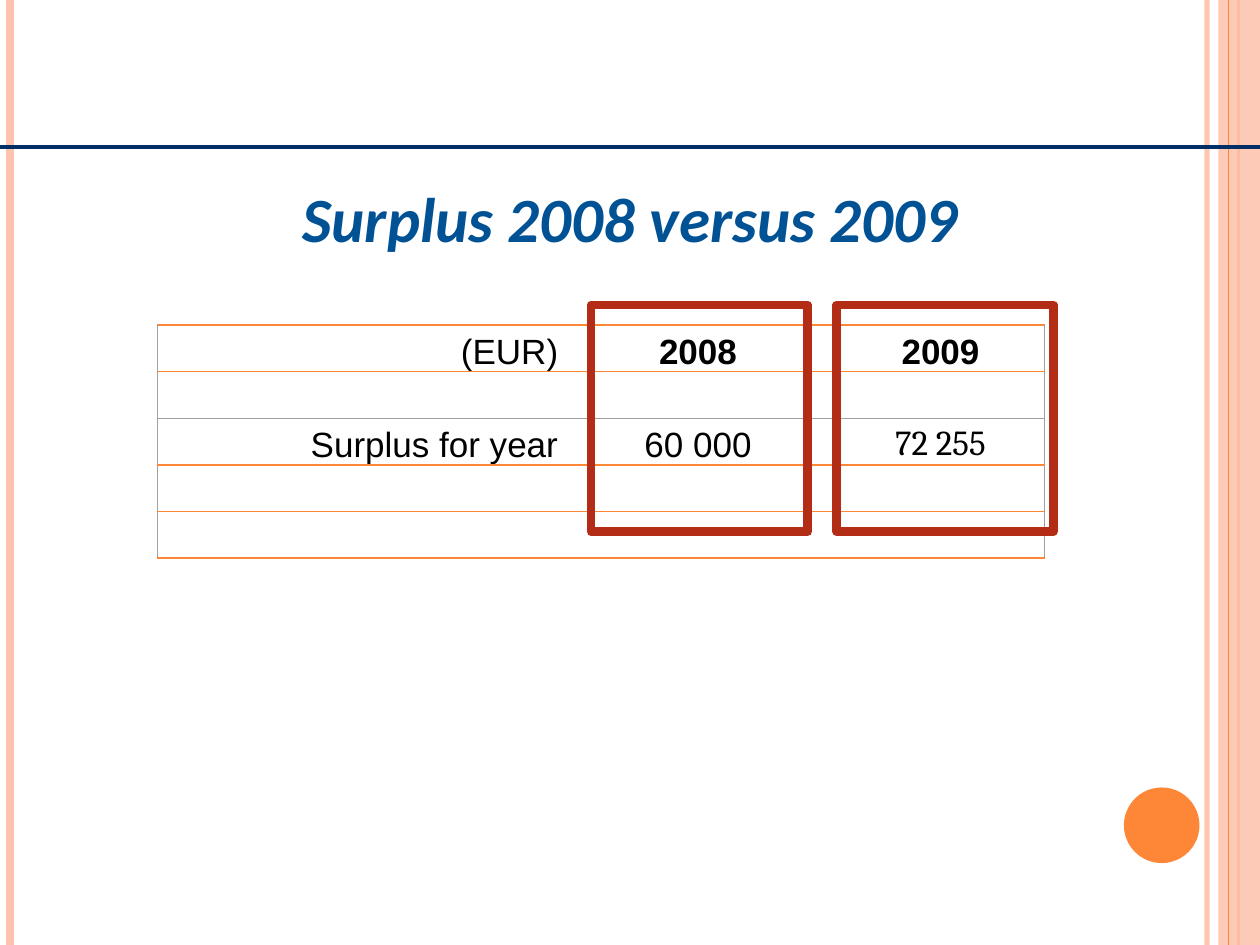
import pptx
import pptx.dml.color
import pptx.enum.shapes
import pptx.enum.text
import pptx.oxml
import pptx.oxml.ns
import pptx.util
from pptx.util import Inches

COLORS = {
    "white": "FFFFFF", "black": "000000", "orange": "FE8637", "peach": "FEC3AE",
    "navy": "002F65", "blue": "005295", "red": "B32C16", "grey": "A0A0A0",
}
ALIGN = pptx.enum.text.PP_ALIGN
ANCHOR = pptx.enum.text.MSO_ANCHOR
SHAPES = pptx.enum.shapes.MSO_SHAPE
qn = pptx.oxml.ns.qn


def color(name):
    return pptx.dml.color.RGBColor.from_string(COLORS[name])


def add_child(parent, tag, **attributes):
    child = pptx.oxml.parse_xml(f"<a:{tag} {pptx.oxml.ns.nsdecls('a')}/>")
    for key, value in attributes.items():
        child.set(key, str(value))
    parent.append(child)
    return child


def set_opacity(element, percent):
    color_element = next(element.iter(qn("a:srgbClr")))
    add_child(color_element, "alpha", val=percent * 1000)


def add_line(slide, start, end, color_name, width, opacity=None):
    line = slide.shapes.add_connector(
        pptx.enum.shapes.MSO_CONNECTOR.STRAIGHT, *map(Inches, start + end))
    line.line.color.rgb = color(color_name)
    line.line.width = pptx.util.Pt(width)
    properties = line._element.spPr
    add_child(properties, "effectLst")
    if opacity:
        set_opacity(properties, opacity)


def add_filled_shape(slide, kind, box, color_name, opacity=None):
    shape = slide.shapes.add_shape(kind, *map(Inches, box))
    shape.shadow.inherit = False
    shape.fill.solid()
    shape.fill.fore_color.rgb = color(color_name)
    shape.line.fill.background()
    if opacity:
        set_opacity(shape._element.spPr, opacity)


def add_frame(slide, box):
    shape = slide.shapes.add_shape(SHAPES.RECTANGLE, *map(Inches, box))
    shape.shadow.inherit = False
    shape.fill.background()
    shape.line.color.rgb = color("red")
    shape.line.width = pptx.util.Pt(5)
    add_child(shape._element.spPr.find(qn("a:ln")), "round")


def add_run(paragraph, text, size, font_name, color_name, bold=False, italic=False):
    run = paragraph.add_run()
    run.text = text
    run.font.size = pptx.util.Pt(size)
    run.font.name = font_name
    run.font.color.rgb = color(color_name)
    run.font.bold = bold
    run.font.italic = italic


def add_title(slide, text):
    title = slide.shapes.title
    title.left, title.top, title.width, title.height = map(Inches, (0, 1.39, 10, 0.67))
    frame = title.text_frame
    frame.word_wrap = False
    frame.auto_size = pptx.enum.text.MSO_AUTO_SIZE.NONE
    frame.vertical_anchor = ANCHOR.MIDDLE
    paragraph = frame.paragraphs[0]
    paragraph.alignment = ALIGN.CENTER
    add_run(paragraph, text, 36, "Calibri", "blue", bold=True, italic=True)


def set_border(cell, side, color_name=None, width=1):
    border = add_child(cell._tc.get_or_add_tcPr(), f"ln{side}",
                       w=int(pptx.util.Pt(width)))
    if color_name:
        add_child(add_child(border, "solidFill"), "srgbClr", val=COLORS[color_name])
    else:
        add_child(border, "noFill")


def format_cell(cell, row, column):
    # Thin grey outer sides, no inner verticals, and a grey rule under row two
    set_border(cell, "L", "grey" if column == 0 else None, 0.5)
    set_border(cell, "R", "grey" if column == 2 else None, 0.5)
    for side, edge in (("T", row), ("B", row + 1)):
        set_border(cell, side, *(("grey", 0.5) if edge == 2 else ("orange", 1)))
    cell.fill.solid()
    cell.fill.fore_color.rgb = color("white")
    cell.margin_left = cell.margin_right = cell.margin_top = Inches(0.01)
    cell.margin_bottom = 0
    cell.vertical_anchor = ANCHOR.BOTTOM


def add_surplus_table(slide):
    rows = [("(EUR)", "2008", "2009"), ("",) * 3,
            ("Surplus for year", "60 000", "72 255"), ("",) * 3, ("",) * 3]
    widths = (3.19, 2.2, 1.65)
    table = slide.shapes.add_table(
        len(rows), len(widths), *map(Inches, (1.25, 2.58, sum(widths), 1.85))).table
    table.first_row = table.horz_banding = False
    for column, width in zip(table.columns, widths):
        column.width = Inches(width)
    for r, texts in enumerate(rows):
        table.rows[r].height = Inches(0.37)
        for c, text in enumerate(texts):
            cell = table.cell(r, c)
            format_cell(cell, r, c)
            if text:
                paragraph = cell.text_frame.paragraphs[0]
                paragraph.alignment = ALIGN.CENTER if c else ALIGN.RIGHT
                font_name = "Cambria" if (r, c) == (2, 2) else "Arial"
                add_run(paragraph, text, 20, font_name, "black", bold=r == 0 and c > 0)


def add_decoration(slide):
    # Vertical stripes at both edges
    add_line(slide, (9.58, 0), (9.58, 7.5), "peach", 3, opacity=93)
    add_line(slide, (0.08, 0), (0.08, 7.5), "peach", 4.5)
    add_line(slide, (9.83, 0), (9.83, 7.5), "orange", 1.5)
    add_filled_shape(slide, SHAPES.RECTANGLE, (9.67, 0, 0.33, 7.5), "peach", opacity=87)
    add_line(slide, (9.75, 0), (9.75, 7.5), "orange", 0.75)
    # Number disc and header rule
    add_filled_shape(slide, SHAPES.OVAL, (8.92, 6.25, 0.6, 0.6), "orange")
    add_line(slide, (0, 1.17), (10, 1.17), "navy", 2.25)


def main():
    presentation = pptx.Presentation()
    presentation.slide_width, presentation.slide_height = Inches(10), Inches(7.5)
    slide = presentation.slides.add_slide(presentation.slide_layouts[5])
    add_decoration(slide)
    add_title(slide, "Surplus 2008 versus 2009")
    add_surplus_table(slide)
    # Frames around the two year columns
    for left in (6.64, 4.69):
        add_frame(slide, (left, 2.42, 1.72, 1.8))
    presentation.save("out.pptx")


if __name__ == "__main__":
    main()
